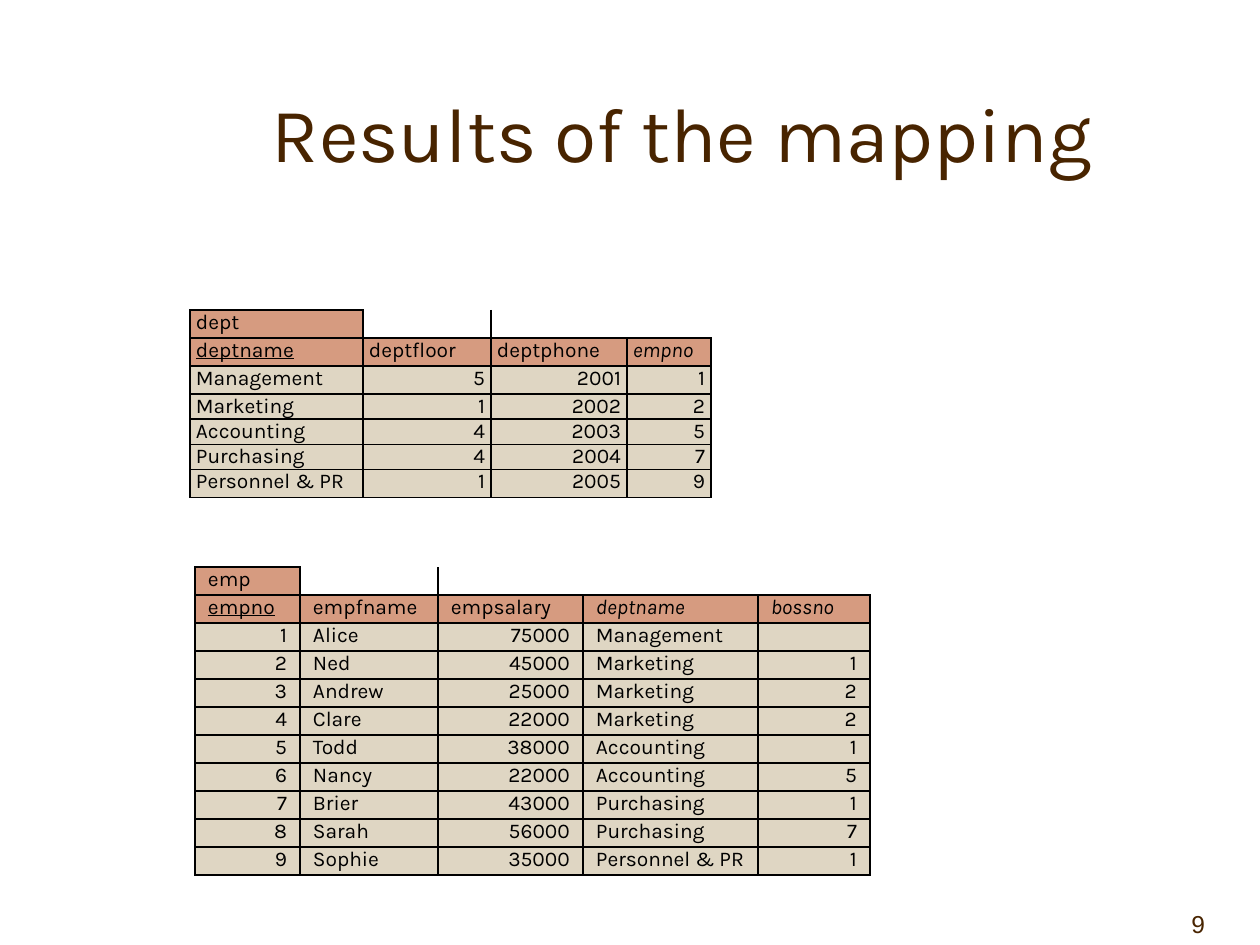
from lxml.etree import SubElement
from pptx import Presentation
from pptx.dml.color import RGBColor
from pptx.enum.text import MSO_ANCHOR as Anchor, PP_ALIGN as Align
from pptx.oxml.ns import qn
from pptx.util import Emu, Pt

BROWN = RGBColor(0x48, 0x24, 0x00)
BLACK = RGBColor(0x00, 0x00, 0x00)
TERRACOTTA = RGBColor(0xD6, 0x9B, 0x80)
SAND = RGBColor(0xDF, 0xD6, 0xC3)

EMU_PER_PX = 914400 / 126
NO_GRID_STYLE = "{2D5ABB26-0587-4C30-8999-92F81FD0307C}"

# Relations: name, columns and rows; the first column is the key
DEPT_COLUMNS = ["deptname", "deptfloor", "deptphone", "empno"]
DEPT_ROWS = [
    ["Management", 5, 2001, 1],
    ["Marketing", 1, 2002, 2],
    ["Accounting", 4, 2003, 5],
    ["Purchasing", 4, 2004, 7],
    ["Personnel & PR", 1, 2005, 9],
]
EMP_COLUMNS = ["empno", "empfname", "empsalary", "deptname", "bossno"]
EMP_ROWS = [
    [1, "Alice", 75000, "Management", ""],
    [2, "Ned", 45000, "Marketing", 1],
    [3, "Andrew", 25000, "Marketing", 2],
    [4, "Clare", 22000, "Marketing", 2],
    [5, "Todd", 38000, "Accounting", 1],
    [6, "Nancy", 22000, "Accounting", 5],
    [7, "Brier", 43000, "Purchasing", 1],
    [8, "Sarah", 56000, "Purchasing", 7],
    [9, "Sophie", 35000, "Personnel & PR", 1],
]


def px(length):
    return Emu(round(length * EMU_PER_PX))


def write(frame, text, *, size, color, font="Karla", align=Align.LEFT,
          underline=None, italic=None, spacing=None):
    paragraph = frame.paragraphs[0]
    paragraph.alignment = align
    if spacing is not None:
        paragraph.space_before = paragraph.space_after = Pt(spacing)
    if not text:
        # An empty cell still needs the small size to keep its row low
        SubElement(paragraph._p, qn("a:endParaRPr"), sz=str(size * 100))
        return
    run = paragraph.add_run()
    run.text = text
    run.font.name = font
    run.font.size = Pt(size)
    run.font.color.rgb = color
    run.font.underline = underline
    run.font.italic = italic


def add_borders(cell, sides):
    properties = cell._tc.get_or_add_tcPr()
    for side in sides:
        line = SubElement(properties, qn(f"a:ln{side}"), w=str(Pt(1)))
        fill = SubElement(line, qn("a:solidFill"))
        SubElement(fill, qn("a:srgbClr"), val=str(BLACK))


def format_cell(cell, value, inset, fill, **text_format):
    cell.margin_left = cell.margin_right = px(inset)
    cell.margin_top = cell.margin_bottom = 0
    if fill is not None:
        add_borders(cell, "LRTB")
        cell.fill.solid()
        cell.fill.fore_color.rgb = fill
    align = Align.RIGHT if isinstance(value, int) else Align.JUSTIFY
    write(cell.text_frame, str(value), size=12, color=BLACK, align=align,
          spacing=3, **text_format)


def add_relation(slide, name, columns, records, foreign_keys, *,
                 left, top, widths, heights, inset):
    table = slide.shapes.add_table(
        len(heights), len(widths), px(left), px(top),
        px(sum(widths)), px(sum(heights))).table
    table.first_row = table.horz_banding = False
    table._tbl.tblPr.find(qn("a:tableStyleId")).text = NO_GRID_STYLE
    for column, width in zip(table.columns, widths):
        column.width = px(width)
    for row, height in zip(table.rows, heights):
        row.height = px(height)

    # Name tab, with the cells beside it left open
    format_cell(table.cell(0, 0), name, inset, TERRACOTTA)
    for c in range(1, len(columns)):
        add_borders(table.cell(0, c), "LB" if c == 1 else "B")
        format_cell(table.cell(0, c), "", inset, None)

    # Column names: primary key underlined, foreign keys in italics
    for c, column_name in enumerate(columns):
        format_cell(table.cell(1, c), column_name, inset, TERRACOTTA,
                    underline=c == 0, italic=column_name in foreign_keys and c > 0)

    # Records
    for r, record in enumerate(records, start=2):
        for c, value in enumerate(record):
            format_cell(table.cell(r, c), value, inset, SAND)


def add_title(slide, text):
    title = slide.shapes.title
    title.left, title.top, title.width, title.height = map(px, (147, 53, 1071, 158))
    title.text_frame.vertical_anchor = Anchor.MIDDLE
    write(title.text_frame, text, size=44, color=BROWN, align=Align.CENTER)


def add_page_number(slide, number):
    frame = slide.shapes.add_textbox(px(1134), px(882), px(126), px(63)).text_frame
    frame.word_wrap = True
    frame.vertical_anchor = Anchor.BOTTOM
    frame.margin_right = px(55)
    write(frame, number, size=14, color=BROWN, font="Arial", align=Align.RIGHT)


def main():
    deck = Presentation()
    deck.slide_width, deck.slide_height = px(1260), px(945)
    slide = deck.slides.add_slide(deck.slide_layouts[5])

    add_page_number(slide, "9")
    add_title(slide, "Results of the mapping")
    add_relation(slide, "dept", DEPT_COLUMNS, DEPT_ROWS, {"empno"},
                 left=190, top=310, widths=[173, 128, 136, 84],
                 heights=[28] * 3 + [25] * 3 + [28], inset=6)
    add_relation(slide, "emp", EMP_COLUMNS, EMP_ROWS, {"deptname", "bossno"},
                 left=195, top=567, widths=[105, 138, 145, 175, 112],
                 heights=[28] * 11, inset=13)
    deck.save("out.pptx")


if __name__ == "__main__":
    main()
